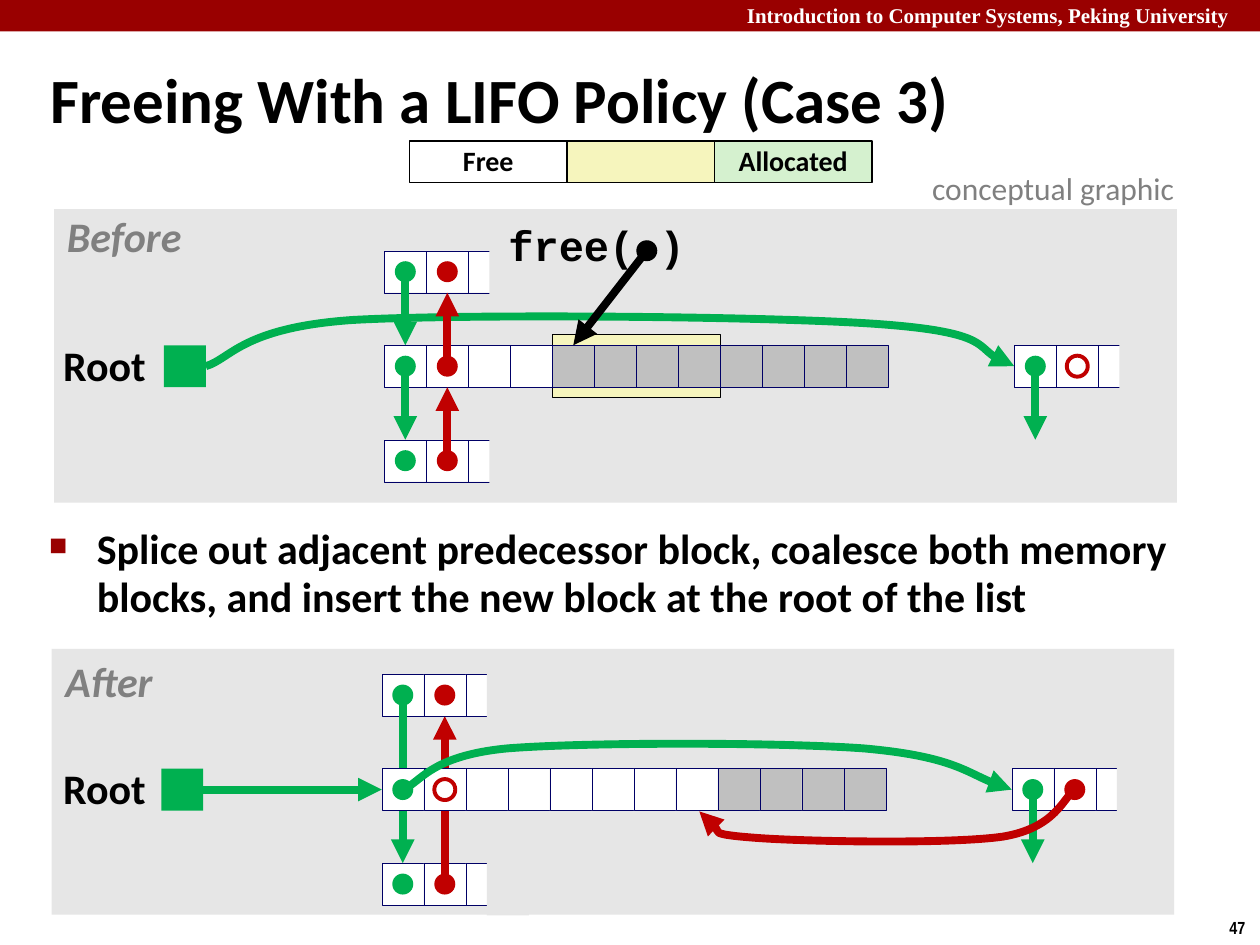
from lxml.etree import SubElement
from pptx import Presentation
from pptx.dml.color import RGBColor
from pptx.enum.shapes import MSO_CONNECTOR, MSO_SHAPE
from pptx.enum.text import MSO_ANCHOR, MSO_AUTO_SIZE, PP_ALIGN
from pptx.oxml.ns import qn
from pptx.util import Inches, Pt

GREEN, RED, BLACK, WHITE = "00B050", "C00000", "000000", "FFFFFF"
PANEL, GRAY, YELLOW, NAVY, LABEL = "E6E6E6", "C0C0C0", "F6F5BD", "000066", "808080"
CELL = 1 / 3
ABOVE, MIDDLE, BELOW = -2.25, 0, 2.25

TITLE = "Freeing With a LIFO Policy (Case 3)"
POINT = ("Splice out adjacent predecessor block, coalesce both memory blocks, "
         "and insert the new block at the root of the list")
LEGEND = [("", 4.43, YELLOW), ("Allocated", 5.67, "D5F1CF"), ("Free", 3.25, WHITE)]

BEFORE = [
    ("block", 4, -0.25, 4, 1.5, YELLOW, BLACK, 0.75),
    ("curve", GREEN, [(-4.25, 0.5), (-3.66, 0.33), (-3.39, -0.42), (-0.75, -0.6),
                      (1.92, -0.75), (9.03, -0.69), (11.67, -0.51),
                      (14.28, -0.33), (14.28, 0.3), (15, 0.5)]),
    ("cells", 0, 4, WHITE), ("cells", 4, 8, GRAY),
    ("stub", 0, ABOVE), ("stub", 0, BELOW), ("stub", 15, MIDDLE),
    ("block", -5.25, 0, 1, 1, GREEN),
    ("arrow", GREEN, (0.5, 0.5), (0.5, BELOW)),
    ("arrow", GREEN, (0.5, ABOVE + 0.5), (0.5, 0)),
    ("dot", GREEN, 0, MIDDLE), ("dot", GREEN, 0, ABOVE), ("dot", GREEN, 0, BELOW),
    ("arrow", RED, (1.5, BELOW + 0.5), (1.5, 1)),
    ("arrow", RED, (1.5, 0.5), (1.5, ABOVE + 1)),
    ("dot", RED, 1, MIDDLE), ("dot", RED, 1, ABOVE), ("dot", RED, 1, BELOW),
    ("dot", GREEN, 15, MIDDLE), ("arrow", GREEN, (15.5, 0.5), (15.5, BELOW)),
    ("ring", RED, 16, MIDDLE),
    ("dot", BLACK, 5.75, -2.75), ("arrow", BLACK, (6.25, -2.25), (4.5, 0)),
]
AFTER = [
    ("stub", 0, BELOW), ("arrow", RED, (1.5, BELOW + 0.5), (1.5, ABOVE + 1)),
    ("stub", 0, ABOVE), ("arrow", GREEN, (0.5, ABOVE + 0.5), (0.5, BELOW)),
    ("cells", 0, 8, WHITE), ("cells", 8, 4, GRAY), ("stub", 15, MIDDLE),
    ("block", -5.25, 0, 1, 1, GREEN),
    ("dot", GREEN, 0, MIDDLE), ("dot", GREEN, 0, ABOVE), ("dot", GREEN, 0, BELOW),
    ("dot", RED, 1, ABOVE), ("dot", RED, 1, BELOW), ("ring", RED, 1, MIDDLE),
    ("dot", GREEN, 15, MIDDLE), ("arrow", GREEN, (15.5, 0.5), (15.5, BELOW)),
    ("dot", RED, 16, MIDDLE), ("arrow", GREEN, (-4.5, 0.5), (0, 0.5)),
    ("curve", GREEN, [(0.5, 0.5), (0.93, 0.33), (1.14, -0.3), (2.97, -0.48),
                      (4.8, -0.63), (9.48, -0.63), (11.49, -0.48),
                      (13.5, -0.3), (14.28, 0.3), (15, 0.5)]),
    ("curve", RED, [(16.5, 0.5), (16.23, 0.69), (16.05, 1.41), (14.79, 1.62),
                    (13.53, 1.8), (10.11, 1.74), (8.91, 1.65),
                    (7.71, 1.56), (7.83, 1.17), (7.56, 1.02)]),
]
PANELS = [
    ((0.43, 1.66, 8.91, 2.33), (3.05, 2.74), BEFORE),
    ((0.41, 5.15, 8.91, 2.11), (3.03, 6.1), AFTER),
]
CAPTIONS = [
    ("free( )", (3.98, 1.74, 1.51, 0.47), "Courier New", BLACK, False),
    ("Root", (0.45, 2.69, 0.76, 0.47), "Calibri", BLACK, False),
    ("Before", (0.47, 1.67, 1.03, 0.47), "Calibri", LABEL, True),
    ("Root", (0.45, 6.05, 0.76, 0.47), "Calibri", BLACK, False),
    ("After", (0.46, 5.2, 0.81, 0.47), "Calibri", LABEL, True),
]

prs = Presentation()
prs.slide_width, prs.slide_height = Inches(10), Inches(7.5)
slide = prs.slides.add_slide(prs.slide_layouts[5])
shapes = slide.shapes


def color(value):
    return RGBColor.from_string(value)


def write(holder, text, font, size, ink, bold=True, italic=False, align=PP_ALIGN.LEFT,
          spacing=None, inset=None, wrap=False, anchor=MSO_ANCHOR.TOP):
    frame = holder.text_frame
    frame.text = text
    frame.word_wrap = wrap
    frame.auto_size = MSO_AUTO_SIZE.NONE
    frame.vertical_anchor = anchor
    if inset is not None:
        frame.margin_left = frame.margin_right = Inches(inset)
    paragraph = frame.paragraphs[0]
    paragraph.alignment = align
    paragraph.line_spacing = spacing
    style = paragraph.font
    style.name, style.size, style.bold, style.italic = font, Pt(size), bold, italic
    style.color.rgb = color(ink)
    return paragraph


def caption(text, place, *style, **options):
    return write(shapes.add_textbox(*map(Inches, place)), text, *style, **options)


def draw(kind, place, fill=None, line=None, weight=0.25):
    shape = shapes.add_shape(kind, *map(Inches, place))
    shape.shadow.inherit = False
    if fill:
        shape.fill.solid()
        shape.fill.fore_color.rgb = color(fill)
    else:
        shape.fill.background()
    if line:
        shape.line.color.rgb = color(line)
        shape.line.width = Pt(weight)
    else:
        shape.line.fill.background()
    return shape


def point_with_arrow(stroke, ink):
    stroke.line.color.rgb = color(ink)
    stroke.line.width = Pt(4.5)
    SubElement(stroke.line._get_or_add_ln(), qn("a:tailEnd"), type="triangle")


class Diagram:
    def __init__(self, origin):
        self.left, self.top = origin

    def at(self, col, row):
        return Inches(self.left + col * CELL), Inches(self.top + row * CELL)

    def block(self, col, row, width, height, fill, line=None, weight=0.25):
        place = (self.left + col * CELL, self.top + row * CELL, width * CELL, height * CELL)
        draw(MSO_SHAPE.RECTANGLE, place, fill, line, weight)

    def cells(self, col, count, fill, row=MIDDLE):
        for step in range(count):
            self.block(col + step, row, 1, 1, fill, NAVY)

    def stub(self, col, row):
        self.cells(col, 3, WHITE, row)
        self.block(col + 2.5, row - 0.25, 1, 1.5, PANEL)

    def dot(self, ink, col, row, fill=True):
        place = (self.left + (col + 0.25) * CELL, self.top + (row + 0.25) * CELL,
                 CELL / 2, CELL / 2)
        draw(MSO_SHAPE.OVAL, place, ink if fill else None, None if fill else ink, 2.25)

    def ring(self, ink, col, row):
        self.dot(ink, col, row, fill=False)

    def arrow(self, ink, start, end):
        link = shapes.add_connector(MSO_CONNECTOR.STRAIGHT, *self.at(*start), *self.at(*end))
        point_with_arrow(link, ink)
        SubElement(link._element.spPr, qn("a:effectLst"))

    def curve(self, ink, points):
        start, *rest = [self.at(*point) for point in points]
        builder = shapes.build_freeform(*start)
        builder.add_line_segments(rest, close=False)
        bend = builder.convert_to_shape()
        bend.shadow.inherit = False
        bend.fill.background()
        point_with_arrow(bend, ink)
        outline = next(bend._element.iter(qn("a:path")))
        legs = outline.findall(qn("a:lnTo"))
        for first in range(0, len(legs), 3):
            bezier = SubElement(outline, qn("a:cubicBezTo"))
            for leg in legs[first:first + 3]:
                bezier.append(leg[0])
                outline.remove(leg)


draw(MSO_SHAPE.RECTANGLE, (0, 0, 10, 0.25), "990000")
caption("Introduction to Computer Systems, Peking University", (5.83, -0.03, 4.24, 0.3),
        "Times New Roman", 12, WHITE)
caption("47", (9.66, 7.23, 0.34, 0.27), "Arial Narrow", 10, BLACK)

title = shapes.title
title.left, title.top, title.width, title.height = map(Inches, (0.3, 0.39, 9.53, 0.86))
write(title, TITLE, "Calibri", 36, BLACK, spacing=0.87, wrap=True, anchor=MSO_ANCHOR.MIDDLE)

for area, origin, steps in PANELS:
    draw(MSO_SHAPE.RECTANGLE, area, PANEL)
    diagram = Diagram(origin)
    for action, *details in steps:
        getattr(diagram, action)(*details)

for text, place, font, ink, italic in CAPTIONS:
    caption(text, place, font, 24, ink, italic=italic, align=PP_ALIGN.CENTER,
            spacing=0.9, inset=0.05)

splice = caption(POINT, (0.29, 4.13, 9.09, 0.86), "Calibri", 24, BLACK, spacing=0.95, wrap=True)
bullet = splice._p.get_or_add_pPr()
bullet.set("marL", str(Inches(0.38)))
bullet.set("indent", str(-Inches(0.38)))
marks = [("buClr", {}), ("buSzPct", {"val": "60000"}), ("buChar", {"char": "■"})]
for tag, values in marks:
    mark = SubElement(bullet, qn("a:" + tag), values)
    if tag == "buClr":
        SubElement(mark, qn("a:srgbClr"), val="990000")
bullet.append(bullet.find(qn("a:defRPr")))

caption("conceptual graphic", (7.3, 1.29, 2.17, 0.4), "Calibri", 18, LABEL, bold=False)
for text, left, fill in LEGEND:
    key = draw(MSO_SHAPE.RECTANGLE, (left, 1.12, 1.25, 0.33), fill, BLACK, 1)
    if text:
        write(key, text, "Calibri", 16, BLACK, align=PP_ALIGN.CENTER, spacing=0.98,
              anchor=MSO_ANCHOR.MIDDLE)

prs.save("out.pptx")
